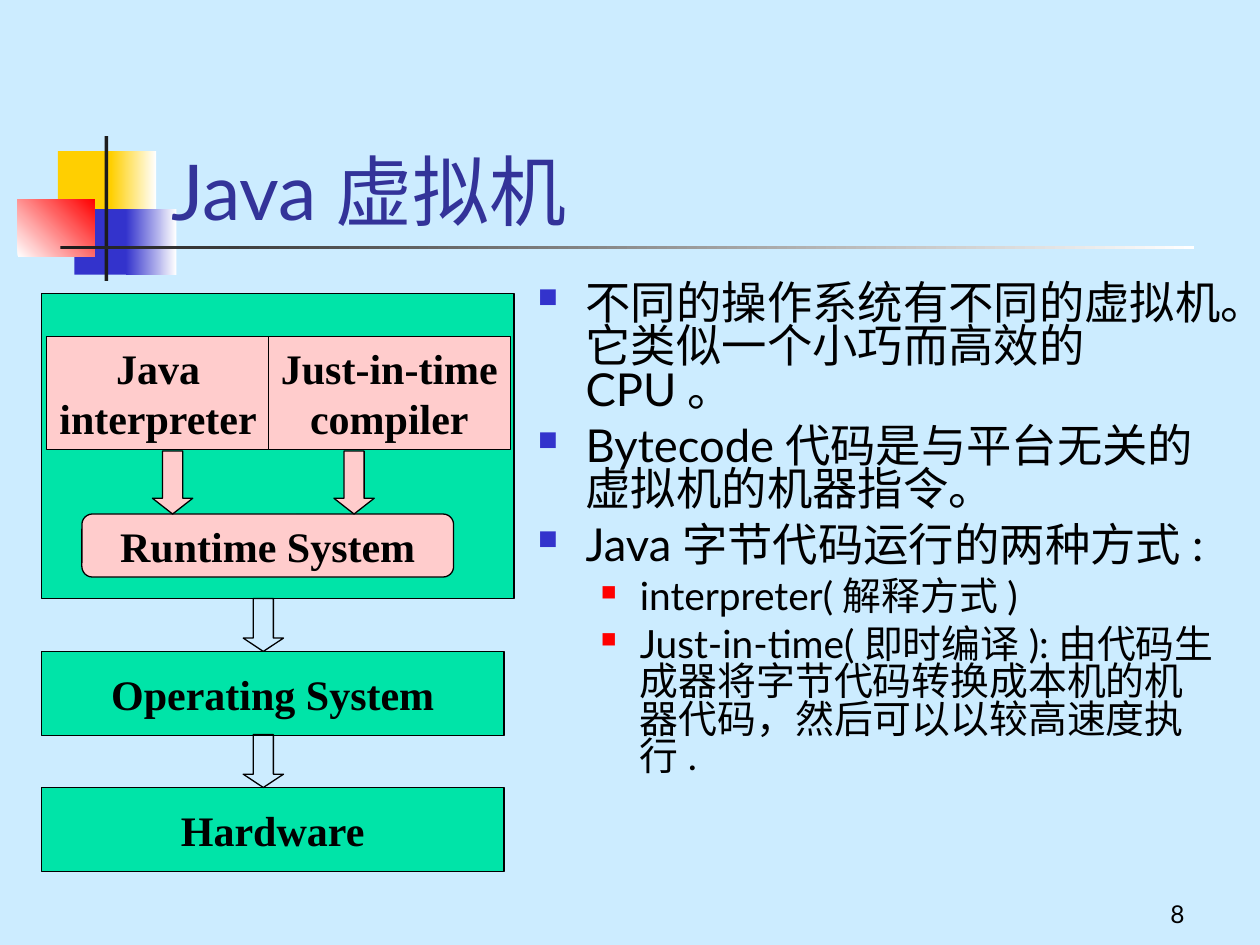
from lxml import etree
from pptx import Presentation
from pptx import util as u
from pptx.dml.color import RGBColor
from pptx.enum import shapes, text
from pptx.oxml.ns import qn

GREEN, PINK, BLACK, WHITE = "00E4A8", "FFCCCC", "000000", "FFFFFF"
YELLOW, BLUE, RED, CHARCOAL = "FFCF01", "3333CC", "FF0000", "1C1C1C"
SHAPE, ANCHOR, ALIGN = shapes.MSO_SHAPE, text.MSO_ANCHOR, text.PP_ALIGN


def rgb(hex_colour):
    return RGBColor.from_string(hex_colour)


def place(box):
    return [u.Inches(length) for length in box]


def add_bullet(paragraph, colour, percent, left, hanging):
    properties = paragraph._p.get_or_add_pPr()
    properties.set("marL", str(u.Inches(left)))
    properties.set("indent", str(-u.Inches(hanging)))
    bullet_colour = etree.SubElement(properties, qn("a:buClr"))
    etree.SubElement(bullet_colour, qn("a:srgbClr"), val=colour)
    etree.SubElement(properties, qn("a:buSzPct"), val=str(percent * 1000))
    etree.SubElement(properties, qn("a:buChar"), char="■")


def write(paragraph, words, size=24, font="Lato", colour=BLACK, bold=False,
          align=ALIGN.LEFT):
    paragraph.alignment = align
    run = paragraph.add_run()
    run.text = words
    run.font.size = u.Pt(size)
    run.font.name = font
    run.font.bold = bold
    run.font.color.rgb = rgb(colour)


def add_text_box(slide, box, anchor):
    frame = slide.shapes.add_textbox(*place(box)).text_frame
    frame.word_wrap = True
    frame.vertical_anchor = anchor
    return frame


def add_block(slide, box, fill=None, line=None, kind=SHAPE.RECTANGLE):
    block = slide.shapes.add_shape(kind, *place(box))
    block.shadow.inherit = False
    if fill:
        block.fill.solid()
        block.fill.fore_color.rgb = rgb(fill)
    else:
        block.fill.background()
    if line:
        block.line.color.rgb = rgb(line)
        block.line.width = u.Pt(0.75)
    else:
        block.line.fill.background()
    return block


def add_fade(slide, box, start, end, angle=0):
    fill = add_block(slide, box).fill
    fill.gradient()
    fill.gradient_angle = angle
    for stop, colour in zip(fill.gradient_stops, (start, end)):
        stop.color.rgb = rgb(colour)


def add_labelled_block(slide, box, fill, lines, kind=SHAPE.RECTANGLE,
                       anchor=ANCHOR.MIDDLE):
    block = add_block(slide, box, fill, BLACK, kind)
    frame = block.text_frame
    frame.word_wrap = False
    frame.vertical_anchor = anchor
    for index, words in enumerate(lines):
        paragraph = frame.add_paragraph() if index else frame.paragraphs[0]
        write(paragraph, words, font="Times New Roman", bold=True,
              align=ALIGN.CENTER)


def add_down_arrow(slide, left, top, height, head, fill=None):
    arrow = add_block(slide, (left, top, 0.32, height), fill, BLACK,
                      SHAPE.DOWN_ARROW)
    arrow.adjustments[0] = 0.5
    arrow.adjustments[1] = head


def add_ornament(slide):
    add_block(slide, (0.46, 1.2, 0.48, 0.52), YELLOW)
    add_fade(slide, (0.88, 1.2, 0.36, 0.52), YELLOW, WHITE)
    add_block(slide, (0.59, 1.66, 0.46, 0.52), BLUE)
    add_fade(slide, (1, 1.66, 0.4, 0.52), BLUE, WHITE)
    add_fade(slide, (0.14, 1.58, 0.61, 0.46), WHITE, RED, 45)
    add_block(slide, (0.83, 1.08, 0.03, 1.15), CHARCOAL)
    add_fade(slide, (0.48, 1.95, 9, 0.03), CHARCOAL, WHITE)


def add_explanation(slide):
    points = [
        (0, "不同的操作系统有不同的虚拟机。它类似一个小巧而高效的CPU。"),
        (0, "Bytecode代码是与平台无关的虚拟机的机器指令。"),
        (0, "Java字节代码运行的两种方式:"),
        (1, "interpreter(解释方式)"),
        (1, "Just-in-time(即时编译):由代码生成器将字节代码转换成本机的机器代码，"
            "然后可以以较高速度执行."),
    ]
    level_bullets = [(BLUE, 60, 0.38, 0.38), (RED, 55, 0.81, 0.31)]
    level_sizes = [25.9, 22.2]
    level_gaps = [7, 6]
    frame = add_text_box(slide, (4.17, 2.21, 5.63, 4.5), ANCHOR.TOP)
    for index, (level, words) in enumerate(points):
        paragraph = frame.add_paragraph() if index else frame.paragraphs[0]
        paragraph.level = level
        add_bullet(paragraph, *level_bullets[level])
        paragraph.line_spacing = 0.8
        if index:
            paragraph.space_before = u.Pt(level_gaps[level])
        write(paragraph, words, size=level_sizes[level])


def add_machine_diagram(slide):
    add_block(slide, (0.33, 2.33, 3.75, 2.42), GREEN, BLACK)
    for left, width, lines in [(0.37, 1.77, ("Java", "interpreter")),
                               (2.13, 1.92, ("Just-in-time", "compiler"))]:
        add_labelled_block(slide, (left, 2.67, width, 0.9), PINK, lines,
                           anchor=ANCHOR.TOP)
    add_labelled_block(slide, (0.65, 4.08, 2.95, 0.5), PINK,
                       ["Runtime System"], SHAPE.ROUNDED_RECTANGLE)
    for left in (1.21, 2.65):
        add_down_arrow(slide, left, 3.58, 0.5, 0.39, PINK)
    for top, layer in [(5.17, "Operating System"), (6.25, "Hardware")]:
        add_labelled_block(slide, (0.33, top, 3.67, 0.67), GREEN, [layer])
        add_down_arrow(slide, 1.93, top - 0.42, 0.42, 0.33)


def main():
    deck = Presentation()
    deck.slide_width, deck.slide_height = u.Inches(10), u.Inches(7.5)
    slide = deck.slides.add_slide(deck.slide_layouts[6])
    slide.background.fill.solid()
    slide.background.fill.fore_color.rgb = rgb("CCECFF")

    add_ornament(slide)
    page_number = add_text_box(slide, (7.42, 6.92, 2.08, 0.5), ANCHOR.BOTTOM)
    write(page_number.paragraphs[0], "8", size=14, align=ALIGN.RIGHT)
    title = add_text_box(slide, (1.26, 0.67, 8.52, 1.25), ANCHOR.BOTTOM)
    write(title.paragraphs[0], "Java虚拟机", size=44, colour="333399")
    add_explanation(slide)
    add_machine_diagram(slide)
    deck.save("out.pptx")


if __name__ == "__main__":
    main()
